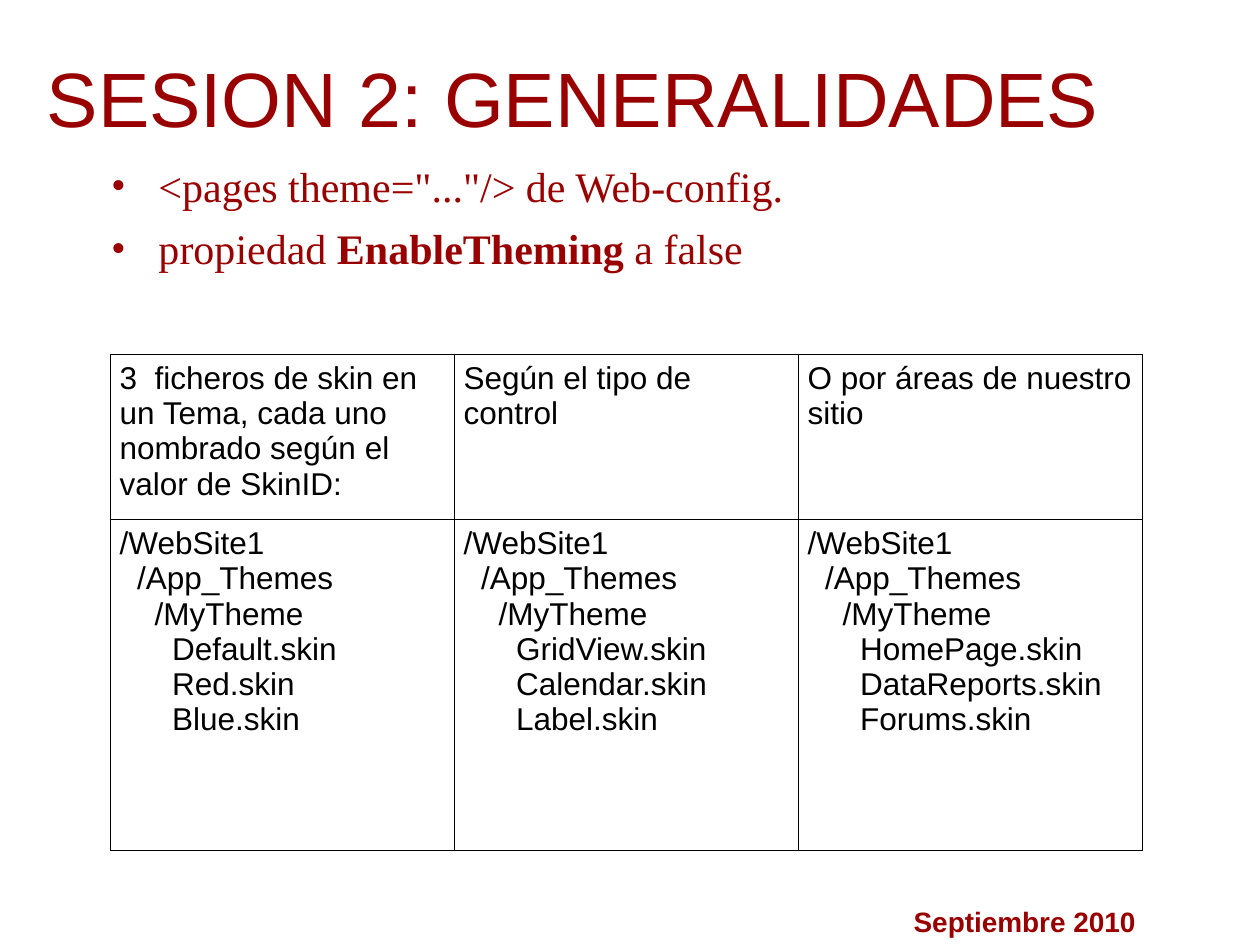
from lxml import etree
from pptx import Presentation
from pptx.dml.color import RGBColor
from pptx.enum import text as tx
from pptx.oxml import ns
from pptx.util import Pt

# Content
TITLE = "SESION 2: GENERALIDADES"
DATE = "Septiembre 2010"
POINTS = [
    [('<pages theme="..."/> de Web-config.', False)],
    [("propiedad ", False), ("EnableTheming", True), (" a false", False)],
]
HEADS = [
    "3  ficheros de skin en un Tema, cada uno nombrado según el valor de SkinID:",
    "Según el tipo de control",
    "O por áreas de nuestro sitio",
]
FOLDERS = ["/WebSite1", "/App_Themes", "/MyTheme"]
SKINS = [
    ["Default.skin", "Red.skin", "Blue.skin"],
    ["GridView.skin", "Calendar.skin", "Label.skin"],
    ["HomePage.skin", "DataReports.skin", "Forums.skin"],
]


class Theme:
    red, black = "990000", "000000"
    sans, serif = "Arial", "Times New Roman"
    title, body, cell, date = 44, 24, 18, 16
    line = 0.45


# Layout, in points
TITLE_BOX = (19.5, 20, 648, 90)
BODY_BOX = (49.5, 85.5, 441.5, 324)
DATE_BOX = (510.5, 513.5, 145.5, 26.5)
GRID_X, GRID_Y, COL_W = 63, 202.5, 196.56
ROWS = [94.5, 189]
STEP = 10  # indent of one folder level


def node(parent, tag, **attrs):
    return etree.SubElement(parent, ns.qn(tag), attrs)


def place(shape, box):
    shape.left, shape.top, shape.width, shape.height = map(Pt, box)


def write(frame, paras, size, color=Theme.red, font=Theme.sans, bold=False,
          align=tx.PP_ALIGN.LEFT, gap=0, bullet=False, levels=None, top=3.6):
    """Fill a frame; a paragraph is a string or a list of (text, bold) runs."""
    frame.word_wrap = True
    frame.vertical_anchor = tx.MSO_ANCHOR.TOP
    frame.margin_top = Pt(top)
    for i, para in enumerate(paras):
        p = frame.add_paragraph() if i else frame.paragraphs[0]
        p.alignment = align
        p.space_before = Pt(gap if i else 0)
        props = p._p.get_or_add_pPr()
        if levels:
            props.set("marL", str(Pt(STEP * levels[i])))
        if bullet:
            props.set("marL", str(Pt(34)))
            props.set("indent", str(Pt(-27)))
            node(node(props, "a:buClr"), "a:srgbClr", val=color)
            node(props, "a:buFont", typeface=font)
            node(props, "a:buChar", char="•")
        for part, strong in [(para, bold)] if isinstance(para, str) else para:
            run = p.add_run()
            run.text = part
            run.font.size, run.font.name, run.font.bold = Pt(size), font, strong
            run.font.color.rgb = RGBColor.from_string(color)


def border(cell):
    props = cell._tc.get_or_add_tcPr()
    for side in "LRTB":
        line = node(props, "a:ln" + side, w=str(Pt(Theme.line)))
        node(node(line, "a:solidFill"), "a:srgbClr", val=Theme.black)


def add_grid(slide):
    table = slide.shapes.add_table(
        len(ROWS), len(HEADS), Pt(GRID_X), Pt(GRID_Y),
        Pt(COL_W * len(HEADS)), Pt(sum(ROWS))).table
    table.first_row = table.horz_banding = False
    for row, height in zip(table.rows, ROWS):
        row.height = Pt(height)
    for c, (head, skins) in enumerate(zip(HEADS, SKINS)):
        table.columns[c].width = Pt(COL_W)
        tree = FOLDERS + skins
        depth = [min(i, len(FOLDERS)) for i in range(len(tree))]
        for r, (lines, levels) in enumerate([([head], None), (tree, depth)]):
            cell = table.cell(r, c)
            cell.margin_left = cell.margin_right = Pt(5.4)
            cell.margin_top = cell.margin_bottom = Pt(3.6)
            write(cell.text_frame, lines, Theme.cell, color=Theme.black,
                  levels=levels)
            border(cell)
            cell.fill.background()


def main():
    deck = Presentation()
    deck.slide_width, deck.slide_height = Pt(720), Pt(540)
    slide = deck.slides.add_slide(deck.slide_layouts[5])

    # Title
    title = slide.shapes.title
    place(title, TITLE_BOX)
    title.text_frame.auto_size = tx.MSO_AUTO_SIZE.NONE
    write(title.text_frame, [TITLE], Theme.title, top=8.6)

    # Bullets
    body = slide.shapes.add_textbox(*map(Pt, BODY_BOX))
    write(body.text_frame, POINTS, Theme.body, font=Theme.serif, gap=7,
          bullet=True, top=6)

    # Table of skin files
    add_grid(slide)

    # Date
    date = slide.shapes.add_textbox(*map(Pt, DATE_BOX))
    write(date.text_frame, [DATE], Theme.date, bold=True,
          align=tx.PP_ALIGN.RIGHT)

    deck.save("out.pptx")


if __name__ == "__main__":
    main()
